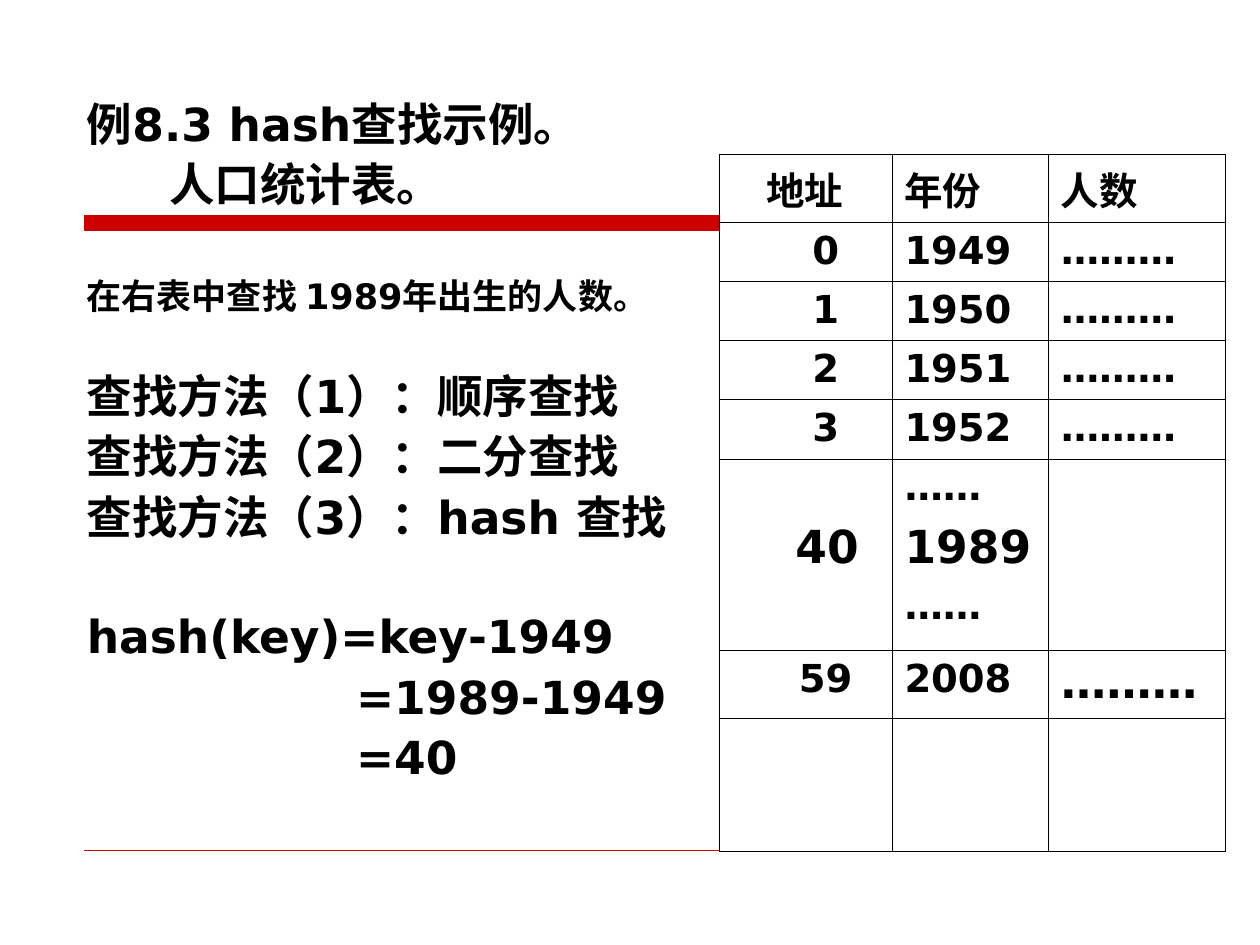
from lxml.etree import SubElement
from pptx import Presentation
from pptx.dml.color import RGBColor
from pptx.enum.shapes import MSO_CONNECTOR, MSO_SHAPE
from pptx.oxml.ns import qn
from pptx.util import Cm, Pt

FONT = "DejaVu Sans"
RED, BLACK, WHITE = "CC0000", "000000", "FFFFFF"


def color(code):
    return RGBColor.from_string(code)


def paint(fill, code):
    fill.solid()
    fill.fore_color.rgb = color(code)


def write(frame, items):
    for i, (text, size, gap, left, hang) in enumerate(items):
        para = frame.paragraphs[0] if i == 0 else frame.add_paragraph()
        props = para._p.get_or_add_pPr()
        props.set("marL", str(Cm(left)))
        props.set("indent", str(Cm(-hang)))
        para.space_before = Pt(gap)
        run = para.add_run()
        run.text = text
        font = run.font
        font.name, font.size, font.bold = FONT, Pt(size), True
        font.color.rgb = color(BLACK)


def add_rules(slide, left, top, width, height):
    bar = slide.shapes.add_shape(
        MSO_SHAPE.RECTANGLE, Cm(left), Cm(top), Cm(12.93), Cm(0.3))
    bar.shadow.inherit = False
    paint(bar.fill, RED)
    bar.line.color.rgb = color(RED)
    bar.line.width = Pt(0.75)
    low = top + height
    line = slide.shapes.add_connector(
        MSO_CONNECTOR.STRAIGHT, Cm(left), Cm(low), Cm(left + width), Cm(low))
    line.line.color.rgb = color(RED)
    line.line.width = Pt(0.25)
    SubElement(line._element.spPr, qn("a:effectLst"))


def add_body(slide, left, top, width, height):
    box = slide.shapes.add_textbox(Cm(left), Cm(top), Cm(width), Cm(height))
    frame = box.text_frame
    frame.word_wrap = True
    write(frame, [
        ("例8.3 hash查找示例。", 26, 0, 1.3, 1.3),
        ("人口统计表。", 26, 6.5, 1.66, 0),
        ("在右表中查找 1989年出生的人数。", 20, 38.8, 1.3, 1.3),
        ("查找方法（1）：顺序查找", 26, 32.5, 1.3, 1.3),
        ("查找方法（2）：二分查找", 26, 6.5, 1.3, 1.3),
        ("查找方法（3）：hash 查找", 26, 6.5, 1.3, 1.3),
        ("hash(key)=key-1949", 26, 40.2, 1.3, 1.3),
        ("=1989-1949", 26, 6.5, 5.43, 0),
        ("=40", 26, 6.5, 5.43, 0),
    ])
    for para in frame.paragraphs:
        para.line_spacing = 0.9


def edge(cell):
    props = cell._tc.get_or_add_tcPr()
    for i, side in enumerate(("lnL", "lnR", "lnT", "lnB")):
        line = props.makeelement(qn("a:" + side), {"w": str(Pt(0.45))})
        fill = SubElement(line, qn("a:solidFill"))
        SubElement(fill, qn("a:srgbClr"), val=BLACK)
        props.insert(i, line)


def add_grid(slide, left, top, width, height):
    dots = "………"
    rows = [[[("地址", 22, 0.7)], [("年份", 22, 0)], [("人数", 22, 0)]]]
    rows += [[[(str(n), 22, 1.62)], [(str(1949 + n), 22, 0)], [(dots, 22, 0)]]
             for n in range(4)]
    rows += [
        [[("40", 26, 1.28)], [("……", 22, 0), ("1989", 26, 0), ("……", 22, 0)], []],
        [[("59", 22, 1.35)], [("2008", 22, 0)], [(dots, 26, 0)]],
        [[], [], []],
    ]
    table = slide.shapes.add_table(
        len(rows), 3, Cm(left), Cm(top), Cm(width), Cm(height)).table
    table.first_row = table.horz_banding = False
    for col, size in zip(table.columns, (3.48, 3.15, 3.58)):
        col.width = Cm(size)
    for row, size in zip(table.rows, (1.37, 1.19, 1.19, 1.19, 1.19, 3.86, 1.37, 2.69)):
        row.height = Cm(size)
    for r, row in enumerate(rows):
        for c, items in enumerate(row):
            cell = table.cell(r, c)
            paint(cell.fill, WHITE)
            edge(cell)
            write(cell.text_frame, [
                (text, size, size / 4 if i else 0, inset, 0)
                for i, (text, size, inset) in enumerate(items)])
    table.cell(5, 0).margin_top = Cm(1.26)


def main():
    deck = Presentation()
    deck.slide_width, deck.slide_height = Cm(25.4), Cm(19.05)
    slide = deck.slides.add_slide(deck.slide_layouts[6])
    paint(slide.background.fill, WHITE)
    add_rules(slide, 1.7, 4.34, 22, 12.8)
    add_body(slide, 1.5, 1.93, 12.6, 14.81)
    add_grid(slide, 14.5, 3.12, 10.21, 14.05)
    deck.save("out.pptx")


if __name__ == "__main__":
    main()
